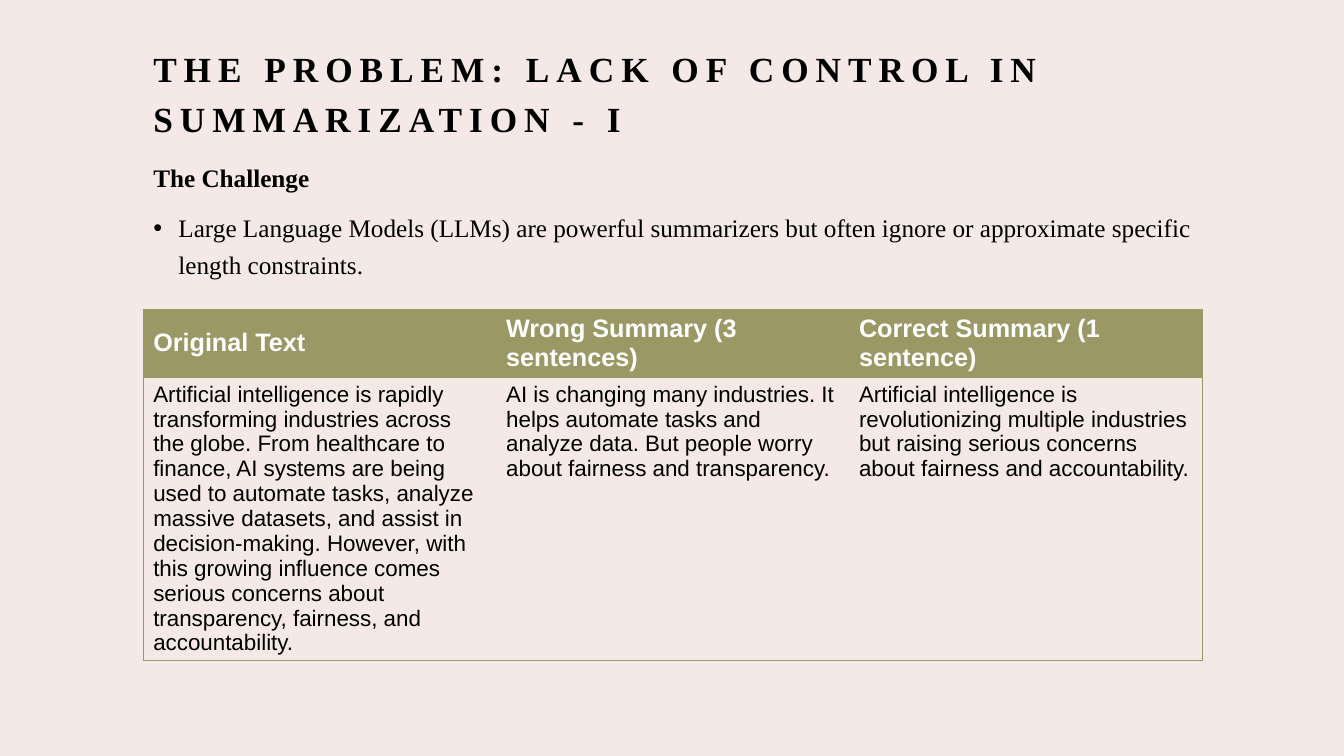
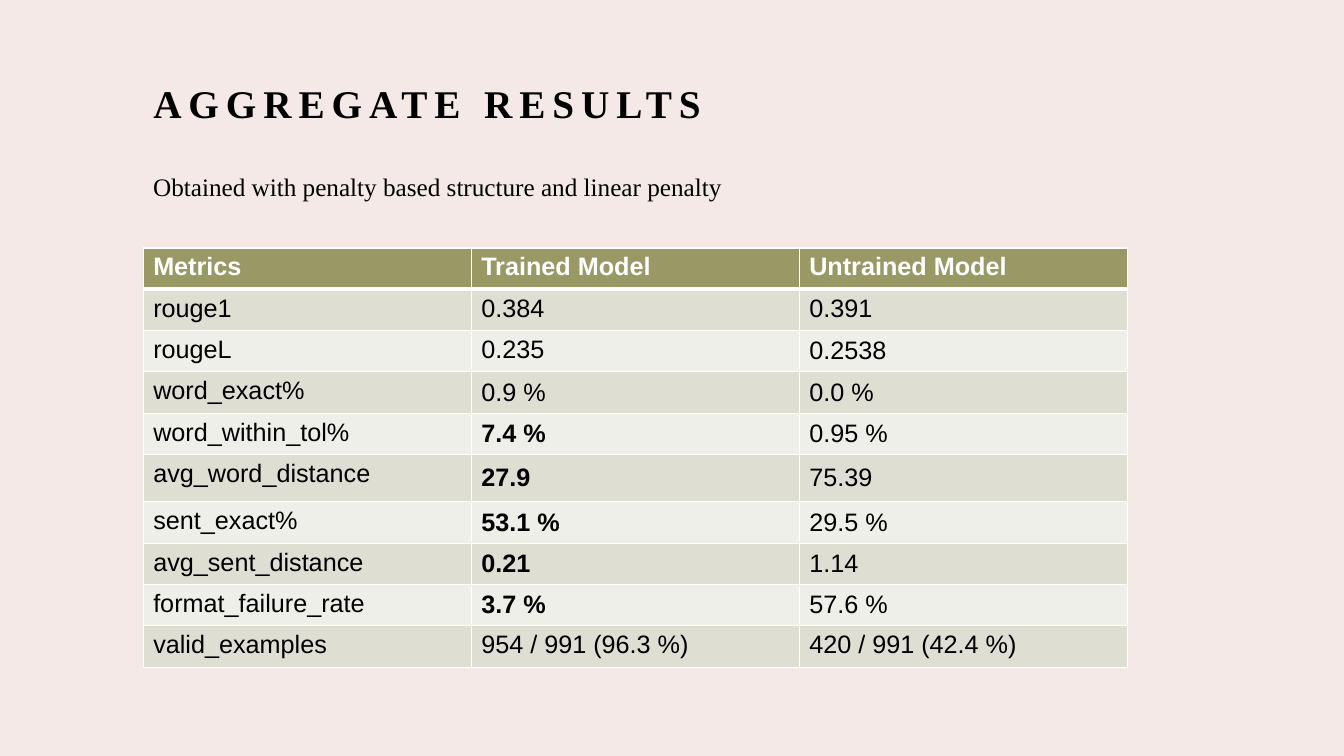
from lxml.etree import SubElement
from pptx import Presentation
from pptx.dml.color import RGBColor
from pptx.enum.text import MSO_ANCHOR as Anchor, MSO_AUTO_SIZE as AutoSize, PP_ALIGN as Align
from pptx.oxml.ns import qn
from pptx.util import Inches, Pt

BACKGROUND, OLIVE, BLACK, WHITE = "F4E9E6", "9A9966", "000000", "FFFFFF"
BANDS = ("DEDED3", "EFEFEA")
SERIF, SANS = "Times New Roman", "Arial"
LEFT, WIDTH = 1.42, 10.5
PLAIN_TABLE = "{2D5ABB26-0587-4C30-8999-92F81FD0307C}"

EXAMPLES = [
    ("Original Text", "Wrong Summary (3 sentences)", "Correct Summary (1 sentence)"),
    (
        "Artificial intelligence is rapidly transforming industries across the globe. "
        "From healthcare to finance, AI systems are being used to automate tasks, analyze "
        "massive datasets, and assist in decision-making. However, with this growing "
        "influence comes serious concerns about transparency, fairness, and accountability.",
        "AI is changing many industries. It helps automate tasks and analyze data. "
        "But people worry about fairness and transparency.",
        "Artificial intelligence is revolutionizing multiple industries but raising "
        "serious concerns about fairness and accountability.",
    ),
]
RESULTS = [
    ("Metrics", "Trained Model", "Untrained Model"),
    ("rouge1", "0.384", "0.391"),
    ("rougeL", "0.235", "0.2538"),
    ("word_exact%", "0.9 %", "0.0 %"),
    ("word_within_tol%", "7.4 %", "0.95 %"),
    ("avg_word_distance", "27.9", "75.39"),
    ("sent_exact%", "53.1 %", "29.5 %"),
    ("avg_sent_distance", "0.21", "1.14"),
    ("format_failure_rate", "3.7 %", "57.6 %"),
    ("valid_examples", "954 / 991 (96.3 %)", "420 / 991 (42.4 %)"),
]
IMPROVED = {"word_within_tol%", "avg_word_distance", "sent_exact%",
            "avg_sent_distance", "format_failure_rate"}


def color(value):
    return RGBColor.from_string(value)


def add_text(para, text, size, font=SERIF, ink=BLACK, bold=False):
    span = para.add_run()
    span.text = text
    span.font.size = Pt(size)
    span.font.name = font
    span.font.bold = bold
    span.font.color.rgb = color(ink)
    return span


def place(shape, box):
    shape.left, shape.top, shape.width, shape.height = map(Inches, box)


def set_title(page, box, text, size, anchor=Anchor.MIDDLE):
    title = page.shapes.title
    place(title, box)
    frame = title.text_frame
    frame.word_wrap = True
    frame.auto_size = AutoSize.NONE
    frame.vertical_anchor = anchor
    para = frame.paragraphs[0]
    para.alignment = Align.LEFT
    para.line_spacing = 1.2
    span = add_text(para, text, size, bold=True)
    span.font._element.set("spc", "500")


def set_bullet(para, symbol=None, indent=0):
    props = para._p.get_or_add_pPr()
    props.set("marL", str(Inches(indent)))
    props.set("indent", str(-Inches(indent)))
    if symbol:
        SubElement(props, qn("a:buFont"), typeface=SANS)
        SubElement(props, qn("a:buChar"), char=symbol)
    else:
        SubElement(props, qn("a:buNone"))


def set_body(page, box, heading, point):
    body = page.placeholders[1]
    place(body, box)
    frame = body.text_frame
    frame.auto_size = AutoSize.NONE
    first, second = frame.paragraphs[0], frame.add_paragraph()
    set_bullet(first)
    set_bullet(second, "•", 0.25)
    for para, space in ((first, 0), (second, 10)):
        para.line_spacing = 1.2
        para.space_before = Pt(space)
    add_text(first, heading, 18, bold=True)
    add_text(second, point, 18)


def add_caption(page, box, text):
    frame = page.shapes.add_textbox(*map(Inches, box)).text_frame
    frame.word_wrap = True
    add_text(frame.paragraphs[0], text, 18)


def set_borders(cell, borders):
    props = cell._tc.get_or_add_tcPr()
    for side in "LRTB":
        if side in borders:
            ink, width = borders[side]
            line = SubElement(props, qn("a:ln" + side), w=str(Pt(width)))
            fill = SubElement(line, qn("a:solidFill"))
            SubElement(fill, qn("a:srgbClr"), val=ink)


def add_grid(page, box, rows, heights, style_cell):
    columns = len(rows[0])
    table = page.shapes.add_table(len(rows), columns, *map(Inches, box)).table
    table._tbl.tblPr.find(qn("a:tableStyleId")).text = PLAIN_TABLE
    for column in table.columns:
        column.width = Inches(box[2] / columns)
    for r, (values, height) in enumerate(zip(rows, heights)):
        table.rows[r].height = Inches(height)
        for c, value in enumerate(values):
            style_cell(table.cell(r, c), r, c, value)


def style_example(cell, r, c, value):
    edge = (OLIVE, 0.5)
    borders = {"T": edge}
    if c == 0:
        borders["L"] = edge
    if c == 2:
        borders["R"] = edge
    if r == 1:
        borders["B"] = edge
    set_borders(cell, borders)
    para = cell.text_frame.paragraphs[0]
    if r == 0:
        cell.fill.solid()
        cell.fill.fore_color.rgb = color(OLIVE)
        cell.vertical_anchor = Anchor.MIDDLE
        add_text(para, value, 18, SANS, WHITE, True)
    else:
        add_text(para, value, 16, SANS)


def style_result(cell, r, c, value):
    header = r == 0
    borders = dict.fromkeys("LRTB", (WHITE, 1))
    if header:
        borders["B"] = (WHITE, 3)
    if r == 1:
        borders["T"] = (WHITE, 3)
    set_borders(cell, borders)
    cell.fill.solid()
    cell.fill.fore_color.rgb = color(OLIVE if header else BANDS[(r - 1) % 2])
    if (c and 3 <= r <= 8) or (r, c) == (2, 2):
        cell.vertical_anchor = Anchor.MIDDLE
    bold = header or (c == 1 and RESULTS[r][0] in IMPROVED)
    add_text(cell.text_frame.paragraphs[0], value, 18, SANS, WHITE if header else BLACK, bold)


def add_problem_page(deck):
    page = deck.slides.add_slide(deck.slide_layouts[1])
    set_title(page, (LEFT, 0.33, WIDTH, 1.43),
              "THE PROBLEM: LACK OF CONTROL IN SUMMARIZATION - I", 25.2, Anchor.TOP)
    set_body(page, (LEFT, 1.5, WIDTH, 5.85), "The Challenge",
             "Large Language Models (LLMs) are powerful summarizers but often ignore "
             "or approximate specific length constraints.")
    add_grid(page, (LEFT, 3.07, WIDTH, 3.48), EXAMPLES, (0.67, 2.81), style_example)


def add_results_page(deck):
    page = deck.slides.add_slide(deck.slide_layouts[5])
    set_title(page, (LEFT, 0.26, WIDTH, 1.43), "AGGREGATE RESULTS", 28)
    heights = [0.47 if row[0] == "avg_word_distance" else 0.41 for row in RESULTS]
    add_grid(page, (LEFT, 2.46, 9.76, sum(heights)), RESULTS, heights, style_result)
    add_caption(page, (LEFT, 1.65, 10.01, 0.71),
                "Obtained with penalty based structure and linear penalty")


def main():
    deck = Presentation()
    deck.slide_width, deck.slide_height = Inches(13.33), Inches(7.5)
    backdrop = deck.slide_master.background.fill
    backdrop.solid()
    backdrop.fore_color.rgb = color(BACKGROUND)
    add_problem_page(deck)
    add_results_page(deck)
    deck.save("out.pptx")


if __name__ == "__main__":
    main()
